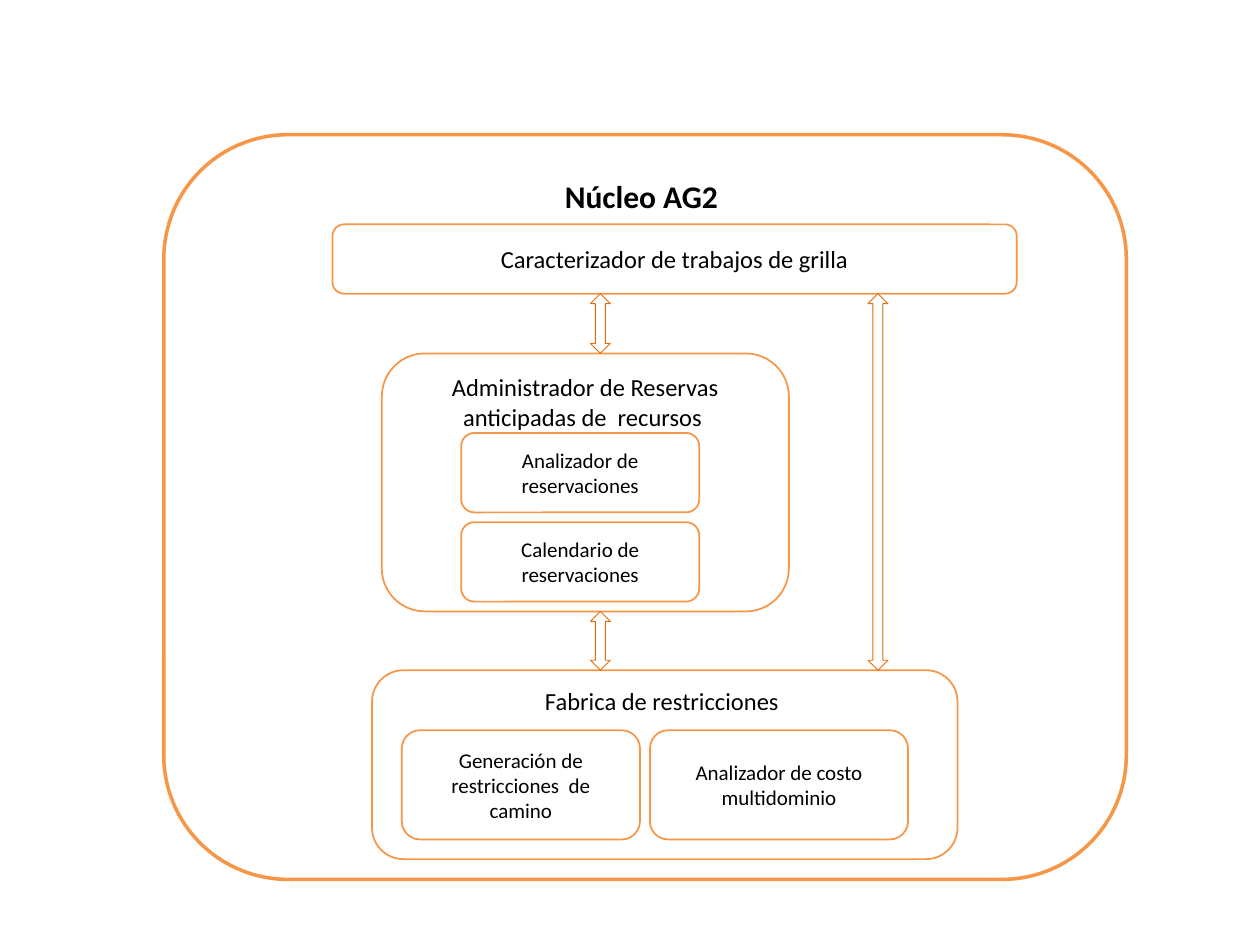
from pptx import Presentation
from pptx.dml.color import RGBColor
from pptx.enum.shapes import MSO_SHAPE as Shape
from pptx.enum.text import MSO_ANCHOR as Anchor, PP_ALIGN as Align
from pptx.util import Pt


def color(code):
    return RGBColor.from_string(code)


class Board:
    font = "Calibri"
    ink = "000000"
    paper = "FFFFFF"
    edge = "F79646"
    dark = "E46C0A"

    def __init__(self, slide):
        self.slide = slide

    def shape(self, kind, area, line, width):
        item = self.slide.shapes.add_shape(kind, *[Pt(n) for n in area])
        item.shadow.inherit = False
        item.line.color.rgb = color(line)
        item.line.width = Pt(width)
        return item

    def box(self, text, area, size, anchor=Anchor.MIDDLE, width=1, bold=False):
        item = self.shape(Shape.ROUNDED_RECTANGLE, area, self.edge, width)
        item.fill.solid()
        item.fill.fore_color.rgb = color(self.paper)
        frame = item.text_frame
        frame.text = text
        frame.word_wrap = True
        frame.vertical_anchor = anchor
        para = frame.paragraphs[0]
        para.alignment = Align.CENTER
        font = para.runs[0].font
        font.name = self.font
        font.size = Pt(size)
        font.bold = bold
        font.color.rgb = color(self.ink)

    def group(self, text, area, size=14, **style):
        self.box(text, area, size, Anchor.TOP, **style)

    def arrow(self, left, top, end):
        area = (left, top, 11.4, end - top)
        item = self.shape(Shape.UP_DOWN_ARROW, area, self.dark, 0.5)
        item.fill.background()


deck = Presentation()
deck.slide_width, deck.slide_height = Pt(720), Pt(540)
board = Board(deck.slides.add_slide(deck.slide_layouts[6]))

# Core frame and job classifier
board.group("Núcleo AG2 ", (93.6, 77, 550, 425.5), 18, width=2, bold=True)
board.box("Caracterizador de trabajos de grilla", (190, 128.2, 391, 39.6), 14)

# Constraint factory
board.group("Fabrica de restricciones ", (212.6, 383, 334.6, 108))
for text, left, width in (
    ("Generación de restricciones  de camino", 229.6, 136.1),
    ("Analizador de costo multidominio", 371.4, 147.5),
):
    board.box(text, (left, 417.3, width, 62.4), 12)

# Reservation manager
board.group("Administrador de Reservas anticipadas de  recursos ",
            (218.2, 202, 232.6, 147.4))
for row, text in enumerate(("Analizador de reservaciones",
                            "Calendario de reservaciones")):
    board.box(text, (263.5, 247.4 + 51 * row, 136.1, 45.4), 12)

# Links between the parts
for left, top, end in ((496, 167.8, 383), (337.4, 167.8, 202),
                       (337.4, 349.4, 383)):
    board.arrow(left, top, end)

deck.save("out.pptx")
